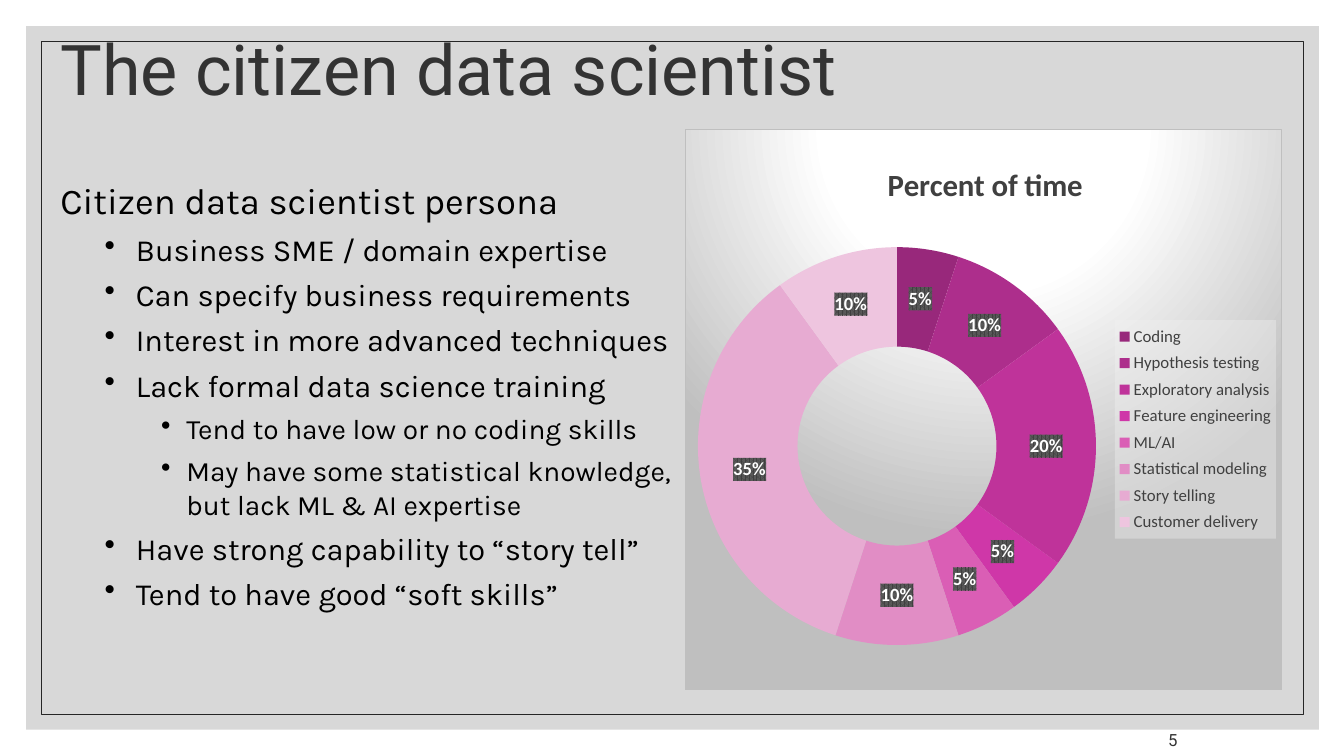
from lxml.etree import SubElement
from pptx import Presentation
from pptx.chart.data import CategoryChartData
from pptx.dml.color import RGBColor
from pptx.enum.chart import XL_CHART_TYPE, XL_LEGEND_POSITION
from pptx.enum.shapes import MSO_SHAPE
from pptx.enum.text import MSO_ANCHOR, MSO_AUTO_SIZE, PP_ALIGN
from pptx.oxml import parse_xml
from pptx.oxml.ns import nsdecls, qn
from pptx.util import Inches, Pt

BLACK = RGBColor(0x00, 0x00, 0x00)
WHITE = RGBColor(0xFF, 0xFF, 0xFF)
PANEL_GRAY = RGBColor(0xD8, 0xD8, 0xD8)
FRAME_GRAY = RGBColor(0x26, 0x26, 0x26)
HEADING_GRAY = RGBColor(0x33, 0x33, 0x33)
CHART_GRAY = RGBColor(0x40, 0x40, 0x40)

PERSONA = [
    (0, "Citizen data scientist persona"),
    (1, "Business SME / domain expertise"),
    (1, "Can specify business requirements"),
    (1, "Interest in more advanced techniques"),
    (1, "Lack formal data science training"),
    (2, "Tend to have low or no coding skills"),
    (2, "May have some statistical knowledge, but lack ML & AI expertise"),
    (1, "Have strong capability to “story tell”"),
    (1, "Tend to have good “soft skills”"),
]
LEVEL_SIZES = [26, 22, 20]
LEVEL_INDENTS = [(0, 0), (0.75, -0.31), (1.25, -0.25)]

TIME_SHARES = [
    ("Coding", 5, RGBColor(0x98, 0x28, 0x7B)),
    ("Hypothesis testing", 10, RGBColor(0xAD, 0x2E, 0x8C)),
    ("Exploratory analysis", 20, RGBColor(0xBF, 0x33, 0x9A)),
    ("Feature engineering", 5, RGBColor(0xCF, 0x37, 0xA8)),
    ("ML/AI", 5, RGBColor(0xDA, 0x5E, 0xB5)),
    ("Statistical modeling", 10, RGBColor(0xE1, 0x8D, 0xC5)),
    ("Story telling", 35, RGBColor(0xE7, 0xAB, 0xD2)),
    ("Customer delivery", 10, RGBColor(0xEE, 0xC5, 0xDF)),
]

CHART_FILL = (
    '<a:gradFill><a:gsLst>'
    '<a:gs pos="0"><a:srgbClr val="FFFFFF"/></a:gs>'
    '<a:gs pos="39000"><a:srgbClr val="FFFFFF"/></a:gs>'
    '<a:gs pos="100000"><a:srgbClr val="BFBFBF"/></a:gs></a:gsLst>'
    '<a:path path="circle"><a:fillToRect l="50000" t="-80000" r="50000" b="180000"/>'
    '</a:path></a:gradFill>'
    '<a:ln w="9525"><a:solidFill><a:srgbClr val="BFBFBF"/></a:solidFill></a:ln>'
)
LABEL_FILL = (
    '<a:pattFill prst="pct75"><a:fgClr><a:srgbClr val="404040"/></a:fgClr>'
    '<a:bgClr><a:srgbClr val="595959"/></a:bgClr></a:pattFill>'
)
LEGEND_FILL = (
    '<a:solidFill><a:srgbClr val="F2F2F2"><a:alpha val="39000"/></a:srgbClr></a:solidFill>'
)


def inches(box):
    """Convert a left, top, width, height box to lengths."""
    return [Inches(length) for length in box]


def set_font(font, color, **formats):
    """Apply a colour and a dict of format values to a font."""
    for attribute, value in formats.items():
        setattr(font, attribute, value)
    font.color.rgb = color


def chart_format(content):
    """Return a chart shape-properties element holding the content."""
    return parse_xml(f'<c:spPr {nsdecls("c", "a")}>{content}</c:spPr>')


def place_part(part, **fractions):
    """Place a chart part by fractions of the chart area."""
    for old_layout in part.findall(qn("c:layout")):
        part.remove(old_layout)
    layout = parse_xml(f'<c:layout {nsdecls("c")}><c:manualLayout/></c:layout>')
    manual = layout[0]
    if part.tag == qn("c:plotArea"):
        SubElement(manual, qn("c:layoutTarget")).set("val", "inner")
        part.insert(0, layout)
    else:
        part.find(qn("c:overlay")).addprevious(layout)
    for axis in "xy":
        SubElement(manual, qn(f"c:{axis}Mode")).set("val", "edge")
    for name, fraction in fractions.items():
        SubElement(manual, qn(f"c:{name}")).set("val", str(fraction))


def add_panel(slide, box, margin=0.15):
    """Add the gray panel with its thin inner frame."""
    left, top, width, height = box
    panel = slide.shapes.add_shape(MSO_SHAPE.RECTANGLE, *inches(box))
    panel.fill.solid()
    panel.fill.fore_color.rgb = PANEL_GRAY
    panel.line.fill.background()
    inner = (left + margin, top + margin, width - 2 * margin, height - 2 * margin)
    frame = slide.shapes.add_shape(MSO_SHAPE.RECTANGLE, *inches(inner))
    frame.fill.background()
    frame.line.color.rgb = FRAME_GRAY
    frame.line.width = Pt(0.5)
    for rectangle in (panel, frame):
        rectangle.shadow.inherit = False


def add_title(slide, box, text):
    """Move the title placeholder to the box, in front of the panel."""
    title = slide.shapes.title
    title.left, title.top, title.width, title.height = inches(box)
    title.element.getparent().append(title.element)
    frame = title.text_frame
    frame.text = text
    frame.auto_size = MSO_AUTO_SIZE.NONE
    frame.vertical_anchor = MSO_ANCHOR.TOP
    paragraph = frame.paragraphs[0]
    paragraph.alignment = PP_ALIGN.LEFT
    set_font(paragraph.font, HEADING_GRAY, name="Roboto", size=Pt(50))


def add_persona(slide, box):
    """Add the persona heading and its bulleted traits."""
    frame = slide.shapes.add_textbox(*inches(box)).text_frame
    frame.word_wrap = True
    for index, (level, trait) in enumerate(PERSONA):
        paragraph = frame.add_paragraph() if index else frame.paragraphs[0]
        paragraph.text = trait
        paragraph.level = level
        paragraph.space_before = Pt(6)
        set_font(paragraph.font, BLACK, name="Karla", size=Pt(LEVEL_SIZES[level]))
        if level:
            margin, indent = LEVEL_INDENTS[level]
            properties = paragraph._p.get_or_add_pPr()
            properties.set("marL", str(Inches(margin)))
            properties.set("indent", str(Inches(indent)))
            bullet = parse_xml(f'<a:buChar {nsdecls("a")} char="•"/>')
            properties.find(qn("a:defRPr")).addprevious(bullet)


def add_time_chart(slide, box):
    """Add the doughnut chart of the time spent on each activity."""
    activities, percents, colors = zip(*TIME_SHARES)
    data = CategoryChartData()
    data.categories = activities
    data.add_series("Percent of time", percents)
    chart = slide.shapes.add_chart(XL_CHART_TYPE.DOUGHNUT, *inches(box), data).chart
    set_font(chart.font, BLACK, name="Calibri", size=Pt(10))
    chart.element.find(qn("c:chart")).addnext(chart_format(CHART_FILL))

    heading = chart.chart_title
    heading.text_frame.text = "Percent of time"
    set_font(heading.text_frame.paragraphs[0].runs[0].font, CHART_GRAY,
             name="Calibri", size=Pt(22), bold=True)
    place_part(heading._element, x=0.33, y=0.05)

    series = chart.plots[0].series[0]
    for index, color in enumerate(colors):
        fill = series.points[index].format.fill
        fill.solid()
        fill.fore_color.rgb = color
    labels = series.data_labels
    label_formats = {"show_percentage": True, "show_value": False,
                     "number_format": "0%", "number_format_is_linked": False}
    for attribute, value in label_formats.items():
        setattr(labels, attribute, value)
    set_font(labels.font, WHITE, name="Calibri", size=Pt(13.3), bold=True)
    labels._element.find(qn("c:numFmt")).addnext(chart_format(LABEL_FILL))
    place_part(chart.element.find(".//" + qn("c:plotArea")), x=0.02, y=0.21, w=0.67, h=0.71)

    chart.has_legend = True
    legend = chart.legend
    legend.position = XL_LEGEND_POSITION.RIGHT
    legend.include_in_layout = False
    set_font(legend.font, CHART_GRAY, name="Calibri", size=Pt(12))
    place_part(legend._element, x=0.72, y=0.34, w=0.27, h=0.39)
    legend._element.find(qn("c:overlay")).addnext(chart_format(LEGEND_FILL))


def add_page_number(slide, box, number):
    """Add the page number at the right of its box."""
    frame = slide.shapes.add_textbox(*inches(box)).text_frame
    formats = {"word_wrap": True, "vertical_anchor": MSO_ANCHOR.MIDDLE,
               "margin_left": Inches(0.13), "margin_right": Inches(0.13),
               "margin_top": Inches(0.07), "margin_bottom": Inches(0.07)}
    for attribute, value in formats.items():
        setattr(frame, attribute, value)
    paragraph = frame.paragraphs[0]
    paragraph.text = number
    paragraph.alignment = PP_ALIGN.RIGHT
    set_font(paragraph.font, HEADING_GRAY, name="Roboto", size=Pt(12))


def main():
    """Build and save the slide."""
    presentation = Presentation()
    presentation.slide_width = Inches(13.33)
    presentation.slide_height = Inches(7.5)
    slide = presentation.slides.add_slide(presentation.slide_layouts[5])
    add_panel(slide, (0.26, 0.26, 12.82, 6.98))
    add_persona(slide, (0.5, 1.72, 6.37, 4.79))
    add_title(slide, (0.5, 0.2, 12.33, 0.87), "The citizen data scientist")
    add_page_number(slide, (10.98, 7.15, 0.83, 0.37), "5")
    add_time_chart(slide, (6.79, 1.28, 5.93, 5.57))
    presentation.save("out.pptx")


if __name__ == "__main__":
    main()
